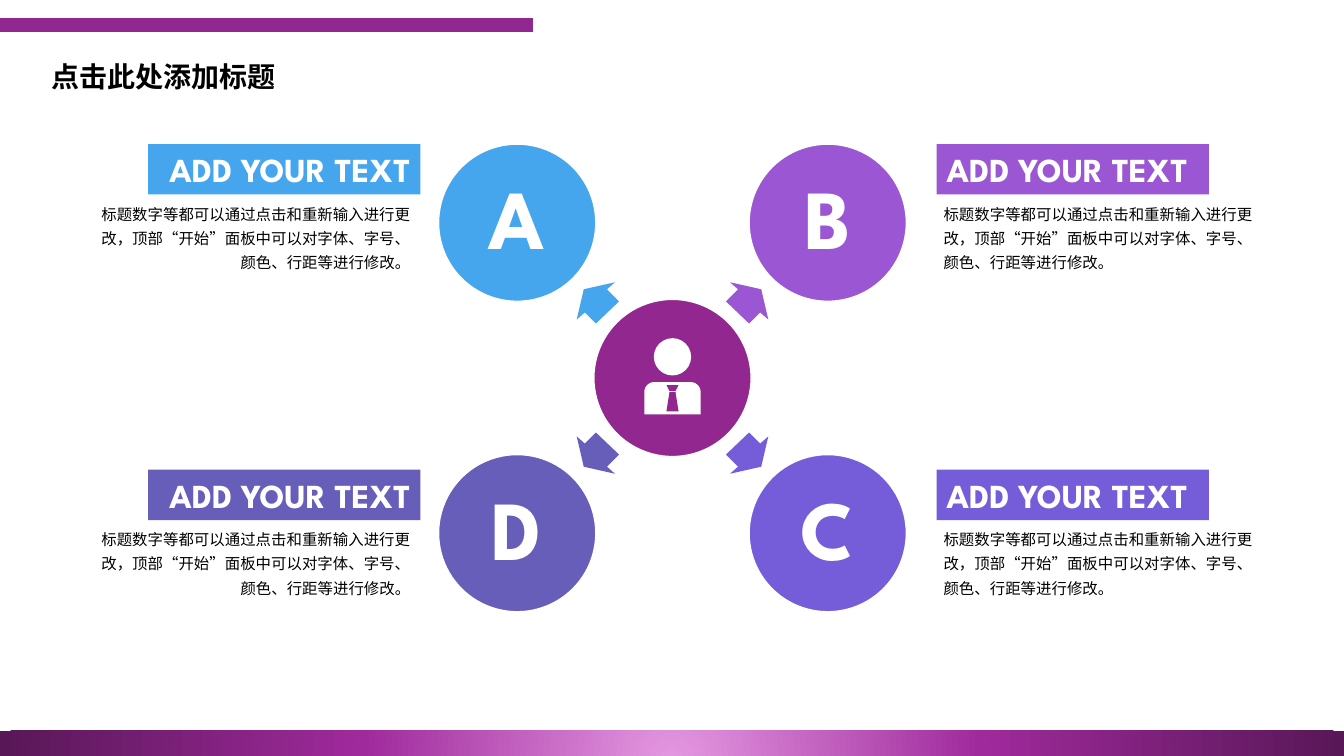
import dataclasses

import lxml.etree
import pptx
import pptx.dml.color
import pptx.enum.shapes
import pptx.enum.text
import pptx.oxml
import pptx.oxml.ns
import pptx.util
from pptx.util import Inches

FONT = "League Spartan"
WHITE, BLACK, PURPLE = "FFFFFF", "000000", "92278F"
LABEL = "ADD YOUR TEXT"
DETAIL = "标题数字等都可以通过点击和重新输入进行更改，顶部“开始”面板中可以对字体、字号、颜色、行距等进行修改。"

CENTER_X, CENTER_Y = 6.67, 3.75
CIRCLE_SIZE = 1.56
CIRCLE_OFFSET = 1.54
LABEL_WIDTH, LABEL_HEIGHT = 2.7, 0.5
DETAIL_WIDTH, DETAIL_HEIGHT = 3.38, 0.82

# Upper-right arrow, as distances from the hub's centre.
ARROW = [(0.53, -0.76), (0.65, -0.88), (0.57, -0.95), (0.88, -0.88),
         (0.95, -0.58), (0.87, -0.65), (0.76, -0.54)]
TIE_KNOT = [(6.61, 3.82), (6.73, 3.82), (6.7, 3.88), (6.64, 3.88)]
TIE_BLADE = [(6.64, 3.89), (6.7, 3.89), (6.73, 4.08), (6.61, 4.08)]

SHAPE = pptx.enum.shapes.MSO_SHAPE
ALIGN = pptx.enum.text.PP_ALIGN
ANCHOR = pptx.enum.text.MSO_ANCHOR
AUTO_SIZE = pptx.enum.text.MSO_AUTO_SIZE


@dataclasses.dataclass(frozen=True)
class Branch:
    letter: str
    color: str
    side_x: int
    side_y: int


BRANCHES = [
    Branch("B", "9B57D3", 1, -1),
    Branch("C", "755DD9", 1, 1),
    Branch("D", "665EB8", -1, 1),
    Branch("A", "45A5ED", -1, -1),
]


def rgb(color: str) -> pptx.dml.color.RGBColor:
    return pptx.dml.color.RGBColor.from_string(color)


def paint(shape, fill: str, line: str = "") -> None:
    shape.shadow.inherit = False
    shape.fill.solid()
    shape.fill.fore_color.rgb = rgb(fill)
    if line:
        shape.line.color.rgb = rgb(line)
        shape.line.width = pptx.util.Pt(1)
    else:
        shape.line.fill.background()


def add_preset(slide, kind, left: float, top: float, width: float, height: float,
               fill: str, line: str = ""):
    shape = slide.shapes.add_shape(
        kind, Inches(left), Inches(top), Inches(width), Inches(height))
    paint(shape, fill, line)
    return shape


def add_circle(slide, x: float, y: float, size: float, fill: str, line: str = ""):
    return add_preset(slide, SHAPE.OVAL, x - size / 2, y - size / 2,
                      size, size, fill, line)


def add_polygon(slide, points: list[tuple[float, float]], fill: str) -> None:
    corners = [(Inches(x), Inches(y)) for x, y in points]
    builder = slide.shapes.build_freeform(*corners[0])
    builder.add_line_segments(corners[1:], close=True)
    paint(builder.convert_to_shape(), fill)


def write(shape, text: str, *, size: float, color: str, bold: bool = False,
          align=ALIGN.LEFT, anchor=ANCHOR.TOP, spacing: float = 1.0,
          wrap: bool = True, auto_size=AUTO_SIZE.NONE) -> None:
    frame = shape.text_frame
    frame.word_wrap = wrap
    frame.auto_size = auto_size
    frame.vertical_anchor = anchor
    para = frame.paragraphs[0]
    para.alignment = align
    para.line_spacing = spacing
    para.space_before = pptx.util.Pt(0)
    span = para.add_run()
    span.text = text
    span.font.name = FONT
    span.font.size = pptx.util.Pt(size)
    span.font.bold = bold
    span.font.color.rgb = rgb(color)


def add_top_rule(slide) -> None:
    rule = slide.shapes.add_connector(
        pptx.enum.shapes.MSO_CONNECTOR.STRAIGHT,
        Inches(0), Inches(0.25), Inches(5.29), Inches(0.25))
    rule.line.color.rgb = rgb(PURPLE)
    rule.line.width = pptx.util.Pt(10)
    lxml.etree.SubElement(rule._element.spPr, pptx.oxml.ns.qn("a:effectLst"))


def add_bottom_band(slide) -> None:
    """Strip with a radial gradient, light in the middle."""
    band = add_preset(slide, SHAPE.RECTANGLE, 0, 7.25, 13.33, 0.29, PURPLE)
    stops = "".join(
        f'<a:gs pos="{percent * 1000}"><a:srgbClr val="{color}"/></a:gs>'
        for percent, color in [(0, "E498E1"), (46, "9F2A9C"), (100, "581756")])
    gradient = pptx.oxml.parse_xml(
        f'<a:gradFill {pptx.oxml.ns.nsdecls("a")} rotWithShape="1">'
        f'<a:gsLst>{stops}</a:gsLst><a:path path="circle">'
        '<a:fillToRect l="50000" t="130000" r="50000" b="-30000"/>'
        '</a:path></a:gradFill>')
    properties = band._element.spPr
    properties.replace(properties.find(pptx.oxml.ns.qn("a:solidFill")), gradient)


def add_title(slide) -> None:
    title = slide.shapes.title
    title.left, title.top = Inches(0.41), Inches(0.49)
    title.width, title.height = Inches(4.88), Inches(0.58)
    write(title, "点击此处添加标题", size=20, color=BLACK, bold=True,
          anchor=ANCHOR.MIDDLE, spacing=0.9)


def add_hub(slide) -> None:
    """Central circle with a person wearing a tie."""
    add_circle(slide, CENTER_X, CENTER_Y, CIRCLE_SIZE, PURPLE, WHITE)
    add_circle(slide, CENTER_X, 3.54, 0.37, WHITE)
    torso = add_preset(slide, SHAPE.ROUND_2_SAME_RECTANGLE,
                       6.39, 3.79, 0.56, 0.32, WHITE)
    torso.adjustments[0] = 0.31
    for tie_part in (TIE_KNOT, TIE_BLADE):
        add_polygon(slide, tie_part, PURPLE)


def add_branch(slide, branch: Branch) -> None:
    """Arrow, lettered circle, label and detail text of one corner."""
    add_polygon(slide, [(CENTER_X + branch.side_x * x, CENTER_Y - branch.side_y * y)
                        for x, y in ARROW], branch.color)
    circle = add_circle(slide, CENTER_X + branch.side_x * CIRCLE_OFFSET,
                        CENTER_Y + branch.side_y * CIRCLE_OFFSET,
                        CIRCLE_SIZE, branch.color, WHITE)
    frame = circle.text_frame
    frame.margin_left = frame.margin_right = Inches(0.04)
    frame.margin_top = frame.margin_bottom = Inches(0.04)
    write(circle, branch.letter, size=60, color=WHITE, bold=True,
          align=ALIGN.CENTER, anchor=ANCHOR.MIDDLE, spacing=0.9)

    on_right = branch.side_x > 0
    align = ALIGN.LEFT if on_right else ALIGN.RIGHT
    label_left = 9.29 if on_right else 4.17 - LABEL_WIDTH
    detail_left = 9.26 if on_right else 4.17 - DETAIL_WIDTH
    top = 4.66 if branch.side_y > 0 else 1.43

    detail = slide.shapes.add_textbox(
        Inches(detail_left), Inches(top + LABEL_HEIGHT),
        Inches(DETAIL_WIDTH), Inches(DETAIL_HEIGHT))
    write(detail, DETAIL, size=11, color=BLACK, align=align, spacing=1.3,
          auto_size=AUTO_SIZE.SHAPE_TO_FIT_TEXT)
    label = add_preset(slide, SHAPE.RECTANGLE, label_left, top,
                       LABEL_WIDTH, LABEL_HEIGHT, branch.color)
    write(label, LABEL, size=24, color=WHITE, bold=True, align=align,
          wrap=False, auto_size=AUTO_SIZE.SHAPE_TO_FIT_TEXT)


def main() -> None:
    deck = pptx.Presentation()
    deck.slide_width, deck.slide_height = Inches(13.33), Inches(7.5)
    slide = deck.slides.add_slide(deck.slide_layouts.get_by_name("Title Only"))
    add_top_rule(slide)
    add_bottom_band(slide)
    add_title(slide)
    add_hub(slide)
    for branch in BRANCHES:
        add_branch(slide, branch)
    deck.save("out.pptx")


if __name__ == "__main__":
    main()
